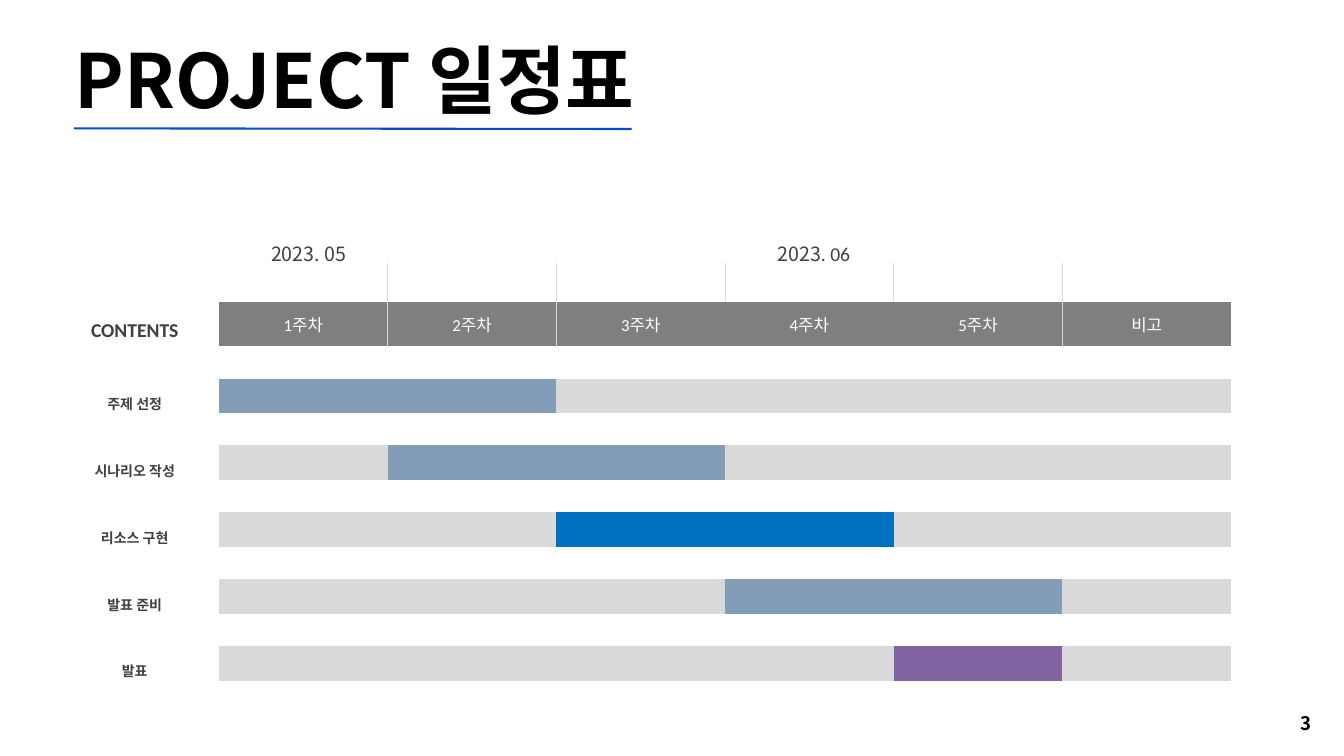
from lxml.etree import SubElement
from pptx import Presentation
from pptx.dml.color import RGBColor
from pptx.enum.shapes import MSO_CONNECTOR
from pptx.enum.text import MSO_ANCHOR, MSO_AUTO_SIZE, PP_ALIGN
from pptx.oxml.ns import qn
from pptx.util import Inches, Pt

SANS = "Noto Sans CJK KR"
LATIN = "Calibri"
NO_STYLE = "{2D5ABB26-0587-4C30-8999-92F81FD0307C}"
DARK, HEADER, TRACK = "404040", "7F7F7F", "D9D9D9"
PLAN, BUILD, SHOW = "839CB7", "0070C0", "8064A2"
HEADINGS = ["1주차", "2주차", "3주차", "4주차", "5주차", "비고"]
TASKS = [
    ("주제 선정", 1, 2, PLAN, 3),
    ("시나리오 작성", 2, 3, PLAN, 4),
    ("리소스 구현", 3, 4, BUILD, None),
    ("발표 준비", 4, 5, PLAN, None),
    ("발표", 5, 5, SHOW, None),
]


def color(value):
    return RGBColor.from_string(value)


def style_run(run, size, ink, bold=False, face=SANS):
    run.font.size = Pt(size)
    run.font.bold = bold
    run.font.name = face
    run.font.color.rgb = color(ink)
    SubElement(run._r.get_or_add_rPr(), qn("a:ea"), typeface=SANS)


def place(shape, left, top, width, height):
    shape.left, shape.top = Inches(left), Inches(top)
    shape.width, shape.height = Inches(width), Inches(height)


def add_title(slide, text):
    title = slide.shapes.title
    place(title, 1.01, 0.46, 9.65, 1.45)
    frame = title.text_frame
    frame.text = text
    frame.word_wrap = True
    frame.auto_size = MSO_AUTO_SIZE.SHAPE_TO_FIT_TEXT
    frame.vertical_anchor = MSO_ANCHOR.TOP
    frame.paragraphs[0].alignment = PP_ALIGN.LEFT
    style_run(frame.paragraphs[0].runs[0], 80, "000000", True)


def add_underline(slide):
    underline = slide.shapes.add_connector(
        MSO_CONNECTOR.STRAIGHT, Inches(1.1), Inches(1.91), Inches(9.4), Inches(1.92))
    underline.line.color.rgb = color("004CC7")
    underline.line.width = Pt(2.25)
    SubElement(underline._element.spPr, qn("a:effectLst"))


def add_label(slide, box, parts, size, ink, bold=False, align=PP_ALIGN.LEFT, spacing=None):
    label = slide.shapes.add_textbox(*map(Inches, box))
    frame = label.text_frame
    frame.word_wrap = True
    frame.auto_size = MSO_AUTO_SIZE.SHAPE_TO_FIT_TEXT
    paragraph = frame.paragraphs[0]
    paragraph.alignment = align
    paragraph.line_spacing = spacing
    for text, face in parts:
        run = paragraph.add_run()
        run.text = text
        style_run(run, size, ink, bold, face)


def write_cell(cell, text, size, ink, bold=False, margins=(0, 0), spacing=None):
    cell.text_frame.text = text
    cell.vertical_anchor = MSO_ANCHOR.MIDDLE
    cell.margin_left = cell.margin_right = Inches(margins[0])
    cell.margin_top = cell.margin_bottom = Inches(margins[1])
    paragraph = cell.text_frame.paragraphs[0]
    paragraph.alignment = PP_ALIGN.CENTER
    paragraph.line_spacing = spacing
    style_run(paragraph.runs[0], size, ink, bold, LATIN)


def write_row_label(cell, text, size):
    write_cell(cell, text, size, DARK, True, (0.15, 0.07), 1.5)


def fill_cell(cell, value):
    cell.fill.solid()
    cell.fill.fore_color.rgb = color(value)


def add_border(cell, side):
    border = SubElement(cell._tc.get_or_add_tcPr(), qn(f"a:{side}"), w=str(Pt(1)))
    solid = SubElement(border, qn("a:solidFill"))
    SubElement(solid, qn("a:srgbClr"), val=TRACK)


def add_dividers(table, row, columns):
    for column in range(1, 7):
        if column - 1 in columns:
            add_border(table.cell(row, column), "lnL")
        if column in columns:
            add_border(table.cell(row, column), "lnR")
    if 0 in columns:
        add_border(table.cell(row, 0), "lnR")


def add_schedule(slide):
    frame = slide.shapes.add_table(
        13, 7, Inches(0.75), Inches(3.92), Inches(17.6), Inches(6.79))
    table = frame.table
    table.first_row = table.horz_banding = False
    table._tbl.tblPr.find(qn("a:tableStyleId")).text = NO_STYLE
    for column in table.columns:
        column.width = Inches(2.51)
    for index, row in enumerate(table.rows):
        row.height = Inches({0: 0.57, 1: 0.62}.get(index, 0.48))

    add_dividers(table, 0, range(1, 6))
    add_dividers(table, 1, (1, 5))
    write_row_label(table.cell(1, 0), "CONTENTS", 21)
    for column, heading in enumerate(HEADINGS, 1):
        write_cell(table.cell(1, column), heading, 18, "FFFFFF")
        fill_cell(table.cell(1, column), HEADER)

    for index, (task, first, last, shade, merge_from) in enumerate(TASKS):
        row = 3 + 2 * index
        write_row_label(table.cell(row, 0), task, 15)
        for column in range(1, 7):
            fill_cell(table.cell(row, column), shade if first <= column <= last else TRACK)
        if merge_from:
            table.cell(row, merge_from).merge(table.cell(row, 6))


def main():
    deck = Presentation()
    deck.slide_width, deck.slide_height = Inches(20), Inches(11.25)
    slide = deck.slides.add_slide(deck.slide_layouts[5])
    add_schedule(slide)
    add_label(slide, (3.33, 3.38, 1.92, 0.58), [("2023. 05", SANS)], 21, DARK,
              align=PP_ALIGN.RIGHT, spacing=1.5)
    add_label(slide, (11.08, 3.38, 1.67, 0.63), [("2023", SANS), (". 06", LATIN)], 21, DARK,
              align=PP_ALIGN.RIGHT, spacing=1.5)
    add_underline(slide)
    add_title(slide, "PROJECT 일정표")
    add_label(slide, (19.25, 10.54, 1.17, 0.44), [("3", SANS)], 20, "000000", True)
    deck.save("out.pptx")


if __name__ == "__main__":
    main()
